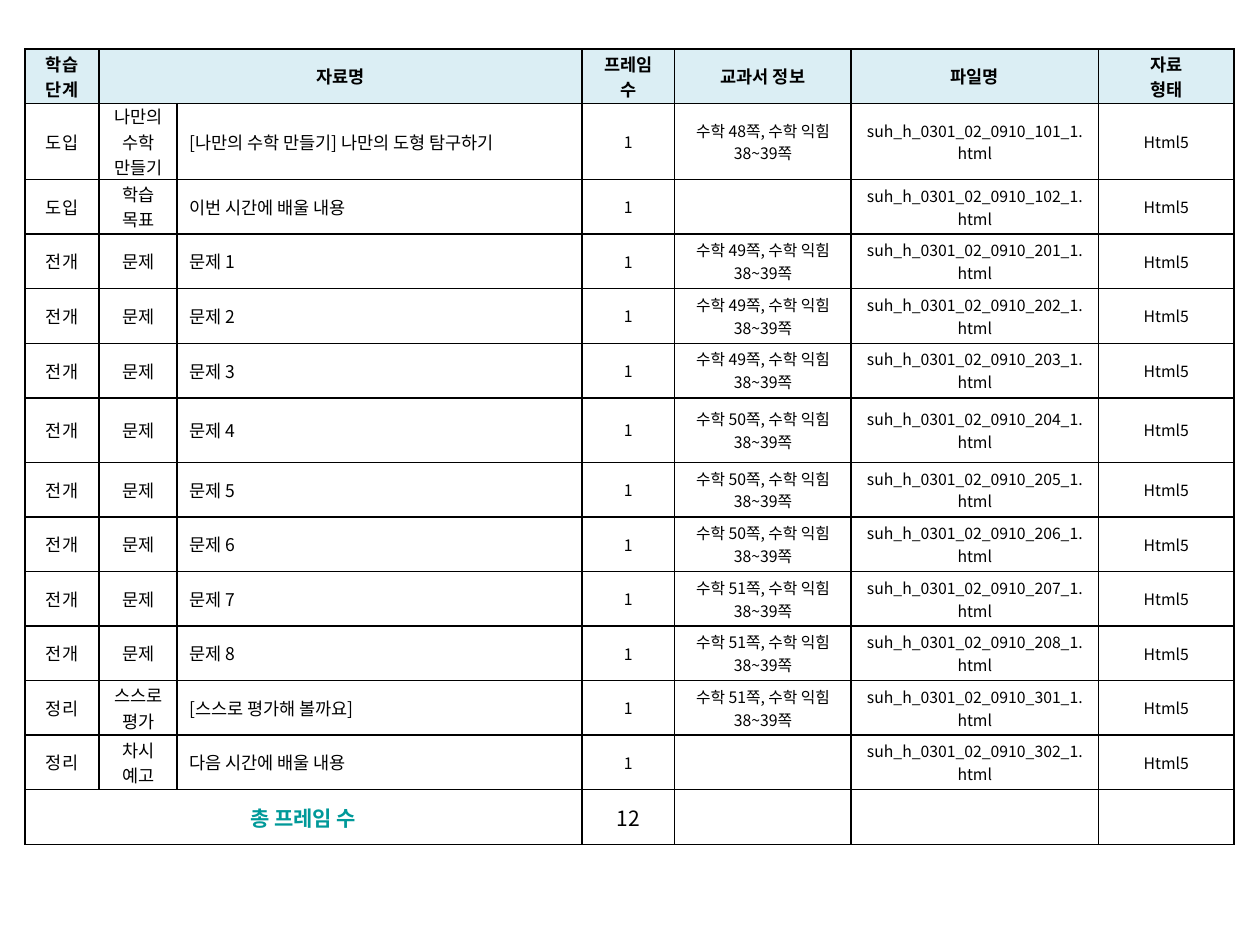
from lxml import etree
from pptx import Presentation
from pptx import util as u
from pptx.dml.color import RGBColor
from pptx.enum import text
from pptx.oxml.ns import qn

FONT = "Noto Sans CJK KR"
COLORS = {"ink": "000000", "header": "DBEEF4", "total": "009999"}
COL_WIDTHS = [1.5, 1.57, 8.16, 1.87, 3.56, 4.98, 2.74]
ROW_HEIGHT, INTRO_HEIGHT, PROBLEM_4_HEIGHT = 1.1, 1.53, 1.3
TITLE_COL, FRAME_COL = 2, 3

HEADER = ["학습 단계", "자료명", "", "프레임 수", "교과서 정보", "파일명", "자료\n형태"]
PROBLEM_PAGES = [49, 49, 49, 50, 50, 50, 51, 51]

# stage, kind, title, textbook page, file number
LESSONS = [
    ("도입", "나만의 수학 만들기", "[나만의 수학 만들기] 나만의 도형 탐구하기", 48, 101),
    ("도입", "학습 목표", "이번 시간에 배울 내용", None, 102),
    *[("전개", "문제", f"문제 {n}", page, 200 + n)
      for n, page in enumerate(PROBLEM_PAGES, 1)],
    ("정리", "스스로 평가", "[스스로 평가해 볼까요]", 51, 301),
    ("정리", "차시 예고", "다음 시간에 배울 내용", None, 302),
]


class Deck:
    def __init__(self, prs):
        self.font = FONT
        self.s = prs.slides.add_slide(prs.slide_layouts[6])

    def table(self, left, top, widths, heights):
        frame = self.s.shapes.add_table(
            len(heights), len(widths), u.Cm(left), u.Cm(top),
            u.Cm(sum(widths)), u.Cm(sum(heights)))
        tbl = frame.table
        tbl.first_row = tbl.horz_banding = False
        for col, width in zip(tbl.columns, widths):
            col.width = u.Cm(width)
        for row, height in zip(tbl.rows, heights):
            row.height = u.Cm(height)
        return tbl

    def cell(self, cell, words, size=9, bold=False, color="ink", fill=None, left=False):
        self.borders(cell)
        if fill:
            cell.fill.solid()
            cell.fill.fore_color.rgb = RGBColor.from_string(COLORS[fill])
        else:
            cell.fill.background()
        cell.vertical_anchor = text.MSO_ANCHOR.MIDDLE
        cell.margin_top = cell.margin_bottom = 0
        tf = cell.text_frame
        for i, line in enumerate(words.split("\n")):
            p = tf.add_paragraph() if i else tf.paragraphs[0]
            p.alignment = text.PP_ALIGN.LEFT if left else text.PP_ALIGN.CENTER
            if line:
                self.run(p, line, size, bold, color)

    def run(self, p, words, size, bold, color):
        r = p.add_run()
        r.text = words
        r.font.size = u.Pt(size)
        r.font.bold = bold
        r.font.color.rgb = RGBColor.from_string(COLORS[color])
        r.font.name = self.font
        etree.SubElement(r.font._element, qn("a:ea"), typeface=self.font)

    def borders(self, cell):
        tc_pr = cell._tc.get_or_add_tcPr()
        for side in ("a:lnL", "a:lnR", "a:lnT", "a:lnB"):
            line = etree.SubElement(tc_pr, qn(side), w=str(u.Pt(1)))
            fill = etree.SubElement(line, qn("a:solidFill"))
            etree.SubElement(fill, qn("a:srgbClr"), val=COLORS["ink"])


def main():
    prs = Presentation()
    prs.slide_width, prs.slide_height = u.Cm(25.4), u.Cm(19.05)
    deck = Deck(prs)

    heights = [ROW_HEIGHT] * (len(LESSONS) + 2)
    heights[1], heights[6] = INTRO_HEIGHT, PROBLEM_4_HEIGHT
    tbl = deck.table(0.5, 0.99, COL_WIDTHS, heights)
    last = len(heights) - 1
    tbl.cell(0, 1).merge(tbl.cell(0, TITLE_COL))
    tbl.cell(last, 0).merge(tbl.cell(last, TITLE_COL))

    for c, words in enumerate(HEADER):
        deck.cell(tbl.cell(0, c), words, size=10, bold=True, fill="header")

    for row, (stage, kind, title, page, number) in enumerate(LESSONS, 1):
        book = f"수학 {page}쪽, 수학 익힘 38~39쪽" if page else ""
        values = [stage, kind, title, "1", book,
                  f"suh_h_0301_02_0910_{number}_1.html", "Html5"]
        for c, words in enumerate(values):
            deck.cell(tbl.cell(row, c), words, size=10 if c <= TITLE_COL else 9,
                      left=c == TITLE_COL)

    totals = {0: "총 프레임 수", FRAME_COL: str(len(LESSONS))}
    for c in range(len(COL_WIDTHS)):
        label = c == 0
        deck.cell(tbl.cell(last, c), totals.get(c, ""), size=12, bold=label,
                  color="total" if label else "ink")

    prs.save("out.pptx")


if __name__ == "__main__":
    main()
